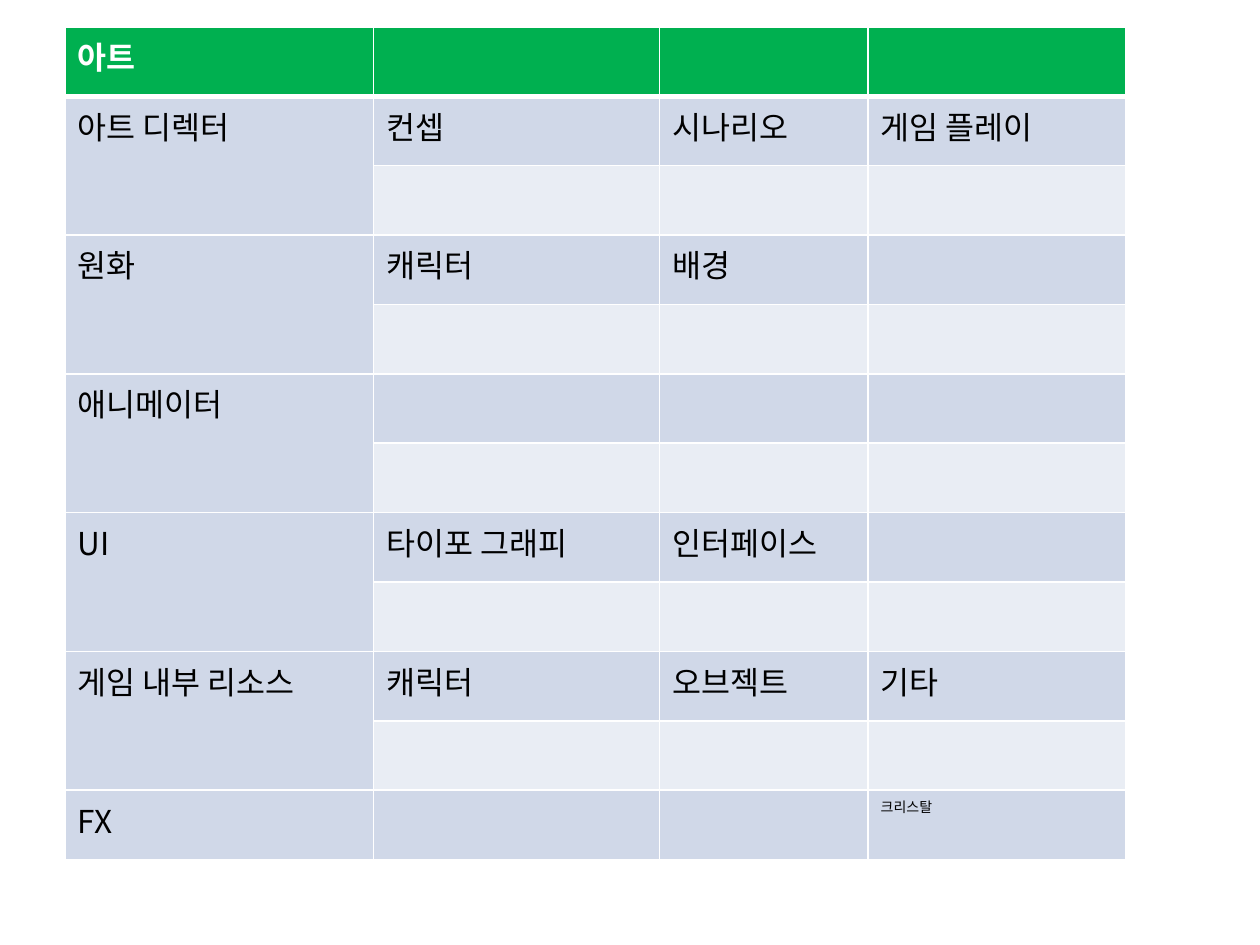
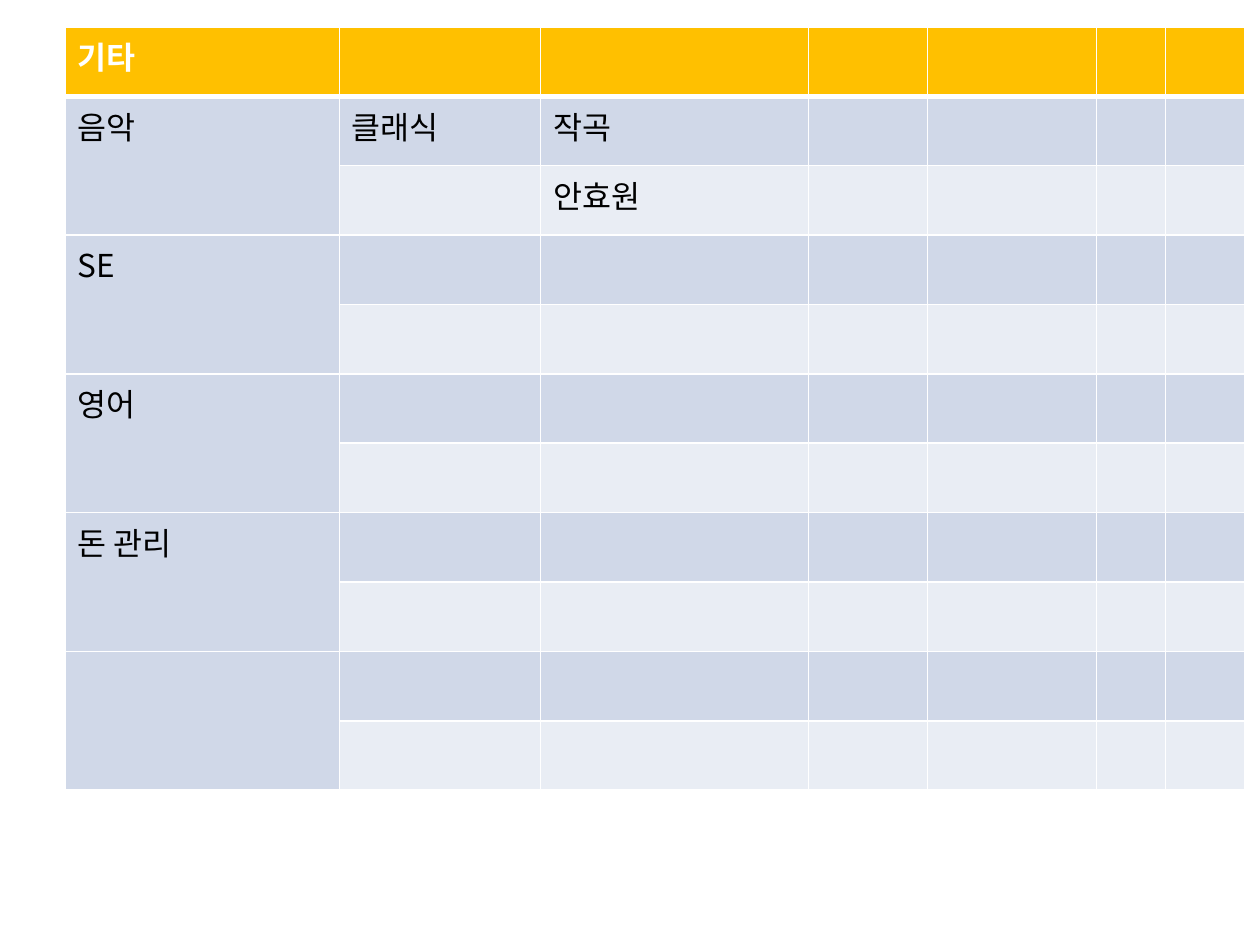
import pptx
import pptx.dml.color
import pptx.oxml
import pptx.oxml.ns
import pptx.util
from lxml import etree

Cm = pptx.util.Cm
Pt = pptx.util.Pt

FONT = "Noto Sans CJK KR"
WHITE, BLACK = "FFFFFF", "000000"
BANDS = ("D0D8E8", "E9EDF4")
LEFT, TOP, ROW_HEIGHT = 1.31, 0.54, 1.4

HEADER_FORMAT = {"size": Pt(18), "bold": True, "name": FONT}
BODY_FORMAT = {"size": Pt(18), "bold": False, "name": FONT}
SMALL_FORMAT = {**BODY_FORMAT, "size": Pt(8)}
SMALL_TEXTS = {"크리스탈"}

# Each role takes two rows, except where only one row is listed.
TEAMS = [
    {
        "colour": "00B050",
        "widths": [6.22, 5.77, 4.2, 5.2],
        "header": "아트",
        "roles": [
            [["아트 디렉터", "컨셉", "시나리오", "게임 플레이"], []],
            [["원화", "캐릭터", "배경"], []],
            [["애니메이터"], []],
            [["UI", "타이포 그래피", "인터페이스"], []],
            [["게임 내부 리소스", "캐릭터", "오브젝트", "기타"], []],
            [["FX", "", "", "크리스탈"]],
        ],
    },
    {
        "colour": "FFC000",
        "widths": [5.53, 4.06, 5.4, 2.4, 3.4, 1.4, 1.6],
        "header": "기타",
        "roles": [
            [["음악", "클래식", "작곡"], ["", "", "안효원"]],
            [["SE"], []],
            [["영어"], []],
            [["돈 관리"], []],
            [[], []],
        ],
    },
]


def rgb(value):
    return pptx.dml.color.RGBColor.from_string(value)


def style_cell(cell, text, fill, colour, text_format, borders):
    """Fill a cell, write its text and draw white borders of the given widths."""
    cell.fill.solid()
    cell.fill.fore_color.rgb = rgb(fill)
    properties = cell._tc.get_or_add_tcPr()
    for position, (side, width) in enumerate(borders.items()):
        line = pptx.oxml.parse_xml(
            f'<a:{side} {pptx.oxml.ns.nsdecls("a")} w="{Pt(width)}">'
            f'<a:solidFill><a:srgbClr val="{WHITE}"/></a:solidFill></a:{side}>'
        )
        properties.insert(position, line)
    if text:
        span = cell.text_frame.paragraphs[0].add_run()
        span.text = text
        span.font.color.rgb = rgb(colour)
        for name, value in text_format.items():
            setattr(span.font, name, value)
        east_asian = etree.SubElement(span._r.get_or_add_rPr(), pptx.oxml.ns.qn("a:ea"))
        east_asian.set("typeface", FONT)


deck = pptx.Presentation()
deck.slide_width, deck.slide_height = Cm(25.4), Cm(19.05)

for team in TEAMS:
    page = deck.slides.add_slide(deck.slide_layouts[6])
    widths = team["widths"]
    row_count = 1 + sum(len(role) for role in team["roles"])
    table = page.shapes.add_table(
        row_count, len(widths), Cm(LEFT), Cm(TOP),
        Cm(sum(widths)), Cm(ROW_HEIGHT * row_count),
    ).table
    table.horz_banding = False
    for column, width in zip(table.columns, widths):
        column.width = Cm(width)
    for row in table.rows:
        row.height = Cm(ROW_HEIGHT)

    for column in range(len(widths)):
        text = team["header"] if column == 0 else ""
        style_cell(table.cell(0, column), text, team["colour"], WHITE, HEADER_FORMAT,
                   {"lnL": 1, "lnR": 1, "lnT": 1, "lnB": 3})

    first_row = 1
    for role in team["roles"]:
        for offset, texts in enumerate(role):
            row = first_row + offset
            borders = {"lnL": 1, "lnR": 1, "lnT": 3 if row == 1 else 1, "lnB": 1}
            for column in range(len(widths)):
                text = texts[column] if column < len(texts) else ""
                fill = BANDS[0] if column == 0 else BANDS[offset]
                text_format = SMALL_FORMAT if text in SMALL_TEXTS else BODY_FORMAT
                style_cell(table.cell(row, column), text, fill, BLACK, text_format, borders)
        if len(role) > 1:
            table.cell(first_row, 0).merge(table.cell(first_row + len(role) - 1, 0))
        first_row += len(role)

deck.save("out.pptx")
